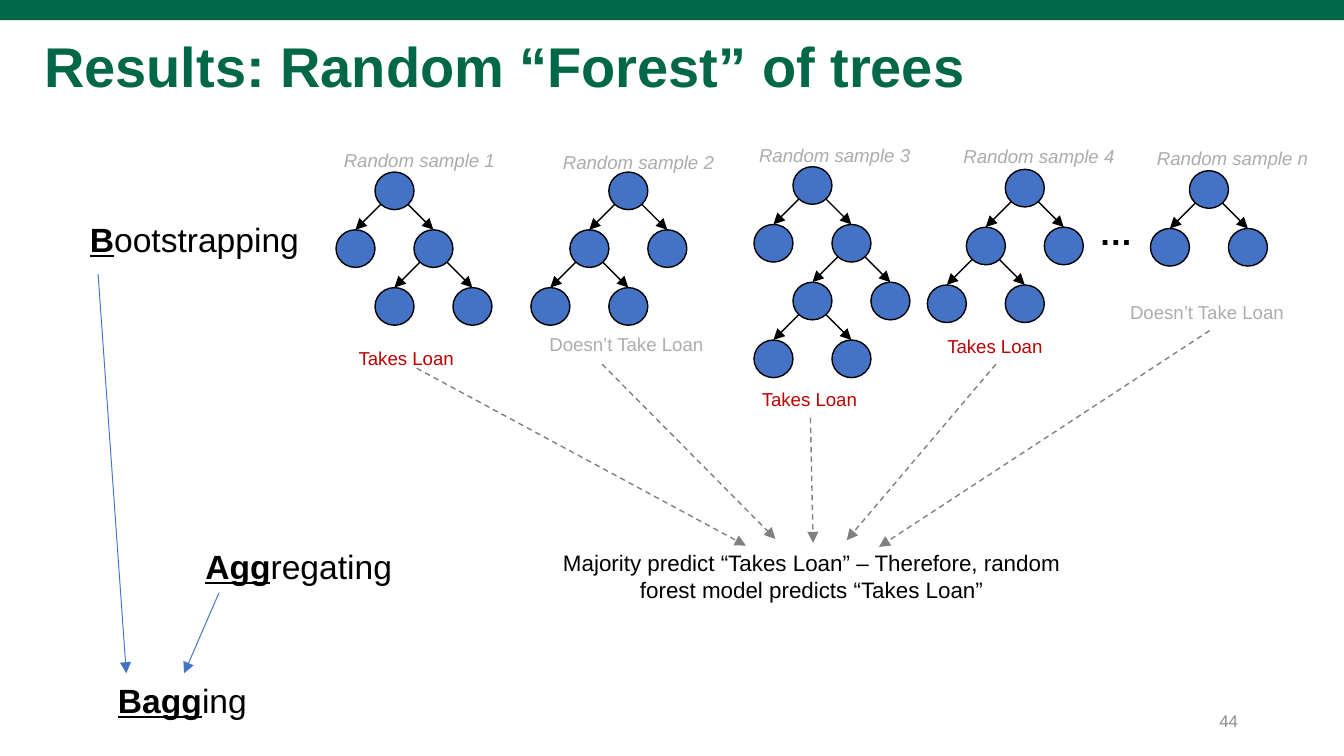
from pptx import Presentation
from pptx.dml.color import RGBColor
from pptx.enum.dml import MSO_LINE
from pptx.enum.shapes import MSO_CONNECTOR, MSO_SHAPE
from pptx.enum.text import MSO_ANCHOR, MSO_AUTO_SIZE, PP_ALIGN
from pptx.oxml.ns import qn
from pptx.util import Inches, Pt
from lxml import etree

GREEN = RGBColor(0x00, 0x67, 0x47)
BLUE = RGBColor(0x44, 0x72, 0xC4)
RED = RGBColor(0xC0, 0x00, 0x00)
BLACK = RGBColor(0x00, 0x00, 0x00)
GRAY = RGBColor(0x80, 0x80, 0x80)
LIGHT_GRAY = RGBColor(0xAF, 0xAB, 0xAB)
NUMBER_GRAY = RGBColor(0x8C, 0x8C, 0x8C)

STRAIGHT = MSO_CONNECTOR.STRAIGHT
RECTANGLE = MSO_SHAPE.RECTANGLE
OVAL = MSO_SHAPE.OVAL
DASH = MSO_LINE.DASH
MIDDLE = MSO_ANCHOR.MIDDLE
FIT_SHAPE = MSO_AUTO_SIZE.SHAPE_TO_FIT_TEXT
FIXED_SIZE = MSO_AUTO_SIZE.NONE
CENTER = PP_ALIGN.CENTER
RIGHT = PP_ALIGN.RIGHT

NODE_WIDTH, NODE_HEIGHT = 0.29, 0.28
COLUMN_STEP, ROW_STEP = 0.29, 0.43

deck = Presentation()
deck.slide_width = Inches(10)
deck.slide_height = deck.slide_width * 9 // 16
slide = deck.slides.add_slide(deck.slide_layouts[6])
shapes = slide.shapes


def add_text(left, top, width, height, text, size, color, wrap=False):
    box = shapes.add_textbox(Inches(left), Inches(top), Inches(width), Inches(height))
    frame = box.text_frame
    frame.word_wrap = wrap
    frame.auto_size = FIT_SHAPE
    frame.text = text
    para = frame.paragraphs[0]
    span = para.runs[0]
    span.font.name = "Arial"
    span.font.size = Pt(size)
    span.font.color.rgb = color
    return frame, para, span


def add_arrow(start, end, color, width=0.75):
    arrow = shapes.add_connector(STRAIGHT, *[Inches(value) for value in (*start, *end)])
    arrow.line.color.rgb = color
    arrow.line.width = Pt(width)
    etree.SubElement(arrow.line._get_or_add_ln(), qn("a:tailEnd"), type="triangle")
    etree.SubElement(arrow._element.spPr, qn("a:effectLst"))
    return arrow


banner = shapes.add_shape(RECTANGLE, 0, 0, deck.slide_width, Inches(0.15))
banner.shadow.inherit = False
banner.fill.solid()
banner.fill.fore_color.rgb = GREEN
banner.line.fill.background()

frame, para, span = add_text(
    0.23, -0.03, 8.62, 1.09, "Results: Random “Forest” of trees", 30, GREEN, True)
frame.auto_size = FIXED_SIZE
frame.vertical_anchor = MIDDLE
para.line_spacing = 0.9
span.font.bold = True

frame, para, span = add_text(7.06, 5.21, 2.25, 0.3, "44", 9, NUMBER_GRAY, True)
frame.auto_size = FIXED_SIZE
frame.vertical_anchor = MIDDLE
para.alignment = RIGHT

frame, para, span = add_text(
    4.09, 4.04, 3.9, 0.5,
    "Majority predict “Takes Loan” – Therefore, random forest model predicts “Takes Loan”",
    12, BLACK, True)
para.alignment = CENTER

trees = [
    ("1", (2.79, 1.28), [(0, 0), (1, 1)], (2.46, 1.06), True, (2.57, 2.53),
     (3.1, 2.74), (5.55, 4.06)),
    ("2", (4.53, 1.28), [(0, 0), (-1, 1)], (4.09, 1.07), False, (3.99, 2.43),
     (4.48, 2.71), (5.77, 4.01)),
    ("3", (5.9, 1.24), [(0, 0), (1, 1), (0, 2)], (5.55, 1.02), True, (5.57, 2.84),
     (6.03, 3.11), (6.05, 4.04)),
    ("4", (7.48, 1.26), [(0, 0), (-1, 1)], (7.07, 1.03), True, (6.95, 2.44),
     (7.41, 2.71), (6.3, 4.02)),
    ("n", (8.85, 1.27), [(0, 0)], (8.51, 1.04), False, (8.31, 2.19),
     (9, 2.46), (6.54, 4.07)),
]
for name, root, splits, label_at, takes_loan, vote_at, vote_start, vote_end in trees:
    nodes = [(0, 0)]
    for column, row in splits:
        for side in (-1, 1):
            nodes.append((column + side, row + 1))
            center = root[0] + NODE_WIDTH / 2 + column * COLUMN_STEP
            top = root[1] + row * ROW_STEP
            add_arrow((center + side * 0.1, top + 0.24),
                      (center + side * COLUMN_STEP, top + ROW_STEP), BLACK)
    for column, row in nodes:
        node = shapes.add_shape(
            OVAL, Inches(root[0] + column * COLUMN_STEP), Inches(root[1] + row * ROW_STEP),
            Inches(NODE_WIDTH), Inches(NODE_HEIGHT))
        node.shadow.inherit = False
        node.fill.solid()
        node.fill.fore_color.rgb = BLUE
        node.line.color.rgb = BLACK
        node.line.width = Pt(0.75)
    frame, para, span = add_text(*label_at, 1.33, 0.27, f"Random sample {name}", 10, LIGHT_GRAY)
    span.font.italic = True
    if takes_loan:
        add_text(*vote_at, 0.93, 0.27, "Takes Loan", 10, RED)
    else:
        add_text(*vote_at, 1.37, 0.27, "Doesn’t Take Loan", 10, LIGHT_GRAY)
    add_arrow(vote_start, vote_end, GRAY).line.dash_style = DASH

steps = [
    (0.57, 1.58, 1.77, "B", "ootstrapping"),
    (1.43, 4.01, 1.6, "Agg", "regating"),
    (0.78, 5.01, 1.17, "Bagg", "ing"),
]
for left, top, width, stem, ending in steps:
    frame, para, span = add_text(left, top, width, 0.4, stem, 18, BLACK)
    span.font.bold = True
    span.font.underline = True
    rest = para.add_run()
    rest.text = ending
    rest.font.name = "Arial"
    rest.font.size = Pt(18)
    rest.font.color.rgb = BLACK

add_arrow((0.73, 2.04), (0.94, 5.01), BLUE, 0.5)
add_arrow((1.63, 4.41), (1.37, 5.01), BLUE, 0.5)

frame, para, span = add_text(8.08, 1.53, 0.45, 0.4, "…", 18, BLACK)
span.font.bold = True

deck.save("out.pptx")
